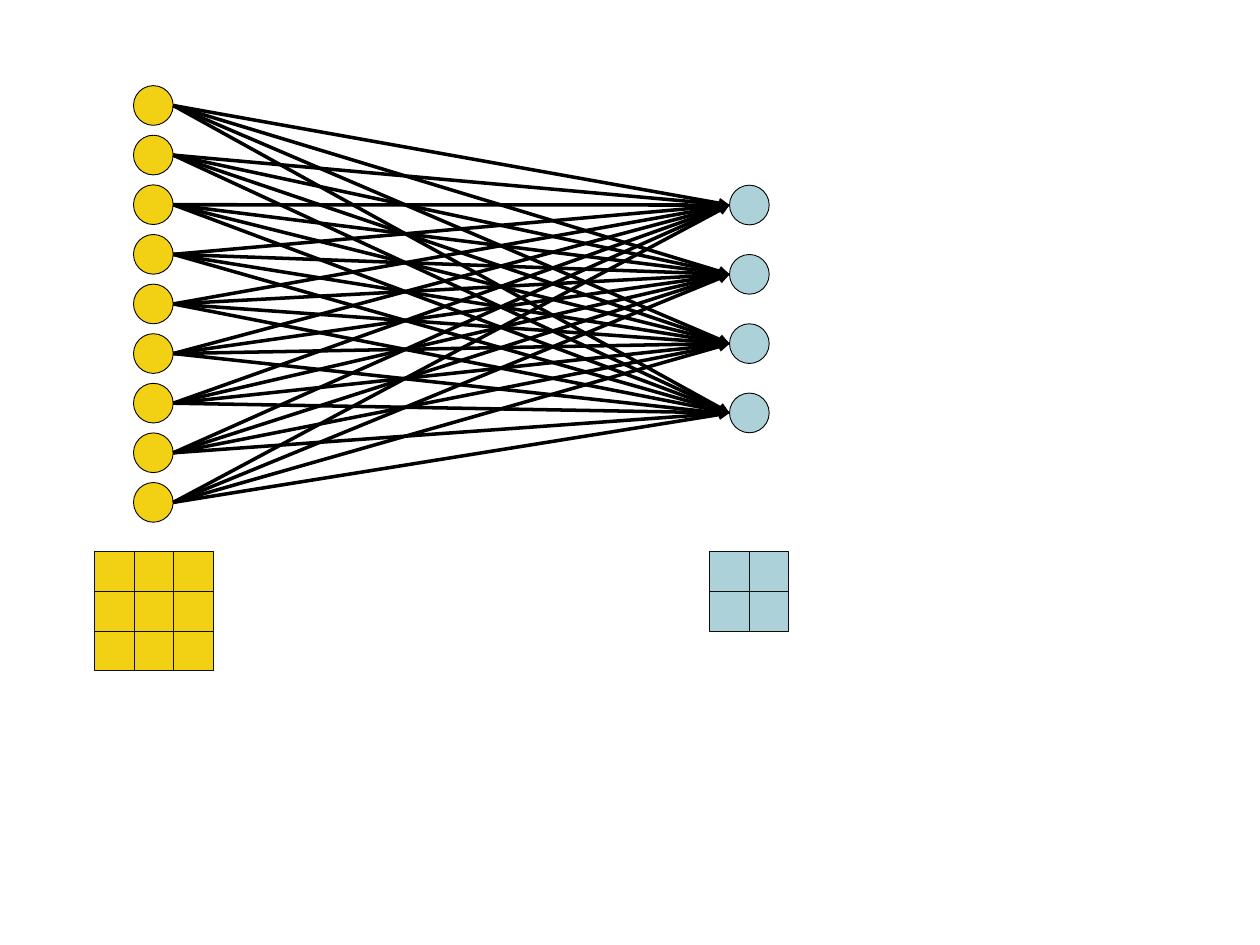
from dataclasses import dataclass

import pptx
import pptx.dml.color
import pptx.enum.shapes
import pptx.oxml
import pptx.oxml.ns
import pptx.util

Inches = pptx.util.Inches
Pt = pptx.util.Pt
RGBColor = pptx.dml.color.RGBColor
MSO_SHAPE = pptx.enum.shapes.MSO_SHAPE

YELLOW = RGBColor(0xF2, 0xD1, 0x15)
BLUE = RGBColor(0xAC, 0xD1, 0xD8)
BLACK = RGBColor(0, 0, 0)
NEAR_BLACK = RGBColor(0x0D, 0x0D, 0x0D)

SIZE = 0.63 / 2  # node diameter and cell side
GRID_TOP = 4.38
SHORT_GAP = 0.08
SHORT_LINKS = {(2, 0), (5, 2), (5, 3)}  # arrows that stop just before the node


@dataclass
class Layer:
    left: float
    top: float
    pitch: float
    count: int
    grid_left: float
    grid_side: int
    color: RGBColor

    def center_y(self, i: int) -> float:
        return self.top + i * self.pitch + SIZE / 2


INPUT = Layer(1.06, 0.68, 3.15 / 8, 9, 0.75, 3, YELLOW)
OUTPUT = Layer(5.79, 1.47, 0.55, 4, 5.63, 2, BLUE)


def set_line(line, color: RGBColor, width: float) -> None:
    line.color.rgb = color
    line.width = Pt(width)


def add_unit(s, kind, left: float, top: float, fill: RGBColor, outline: RGBColor) -> None:
    """Add one node or grid cell."""
    sp = s.shapes.add_shape(kind, Inches(left), Inches(top), Inches(SIZE), Inches(SIZE))
    sp.shadow.inherit = False
    sp.fill.solid()
    sp.fill.fore_color.rgb = fill
    set_line(sp.line, outline, 0.5)


def add_layer(s, layer: Layer) -> None:
    """Add a column of nodes and the square grid below it."""
    for i in range(layer.count):
        add_unit(s, MSO_SHAPE.OVAL, layer.left, layer.top + i * layer.pitch,
                 layer.color, BLACK)
    for row in range(layer.grid_side):
        for col in range(layer.grid_side):
            add_unit(s, MSO_SHAPE.RECTANGLE, layer.grid_left + col * SIZE,
                     GRID_TOP + row * SIZE, layer.color, NEAR_BLACK)


def add_arrow(s, x1: float, y1: float, x2: float, y2: float) -> None:
    cxn = s.shapes.add_connector(pptx.enum.shapes.MSO_CONNECTOR.STRAIGHT,
                                 Inches(x1), Inches(y1), Inches(x2), Inches(y2))
    set_line(cxn.line, BLACK, 2)
    ns = pptx.oxml.ns.nsdecls("a")
    cxn.line._get_or_add_ln().append(
        pptx.oxml.parse_xml(f'<a:tailEnd {ns} type="triangle"/>'))
    cxn._element.spPr.append(pptx.oxml.parse_xml(f"<a:effectLst {ns}/>"))


def main() -> None:
    prs = pptx.Presentation()
    prs.slide_width, prs.slide_height = Inches(10), Inches(7.5)
    s = prs.slides.add_slide(prs.slide_layouts[6])
    for layer in (INPUT, OUTPUT):
        add_layer(s, layer)
    for i in range(INPUT.count):
        for j in range(OUTPUT.count):
            gap = SHORT_GAP if (i, j) in SHORT_LINKS else 0
            add_arrow(s, INPUT.left + SIZE, INPUT.center_y(i),
                      OUTPUT.left - gap, OUTPUT.center_y(j))
    prs.save("out.pptx")


if __name__ == "__main__":
    main()
